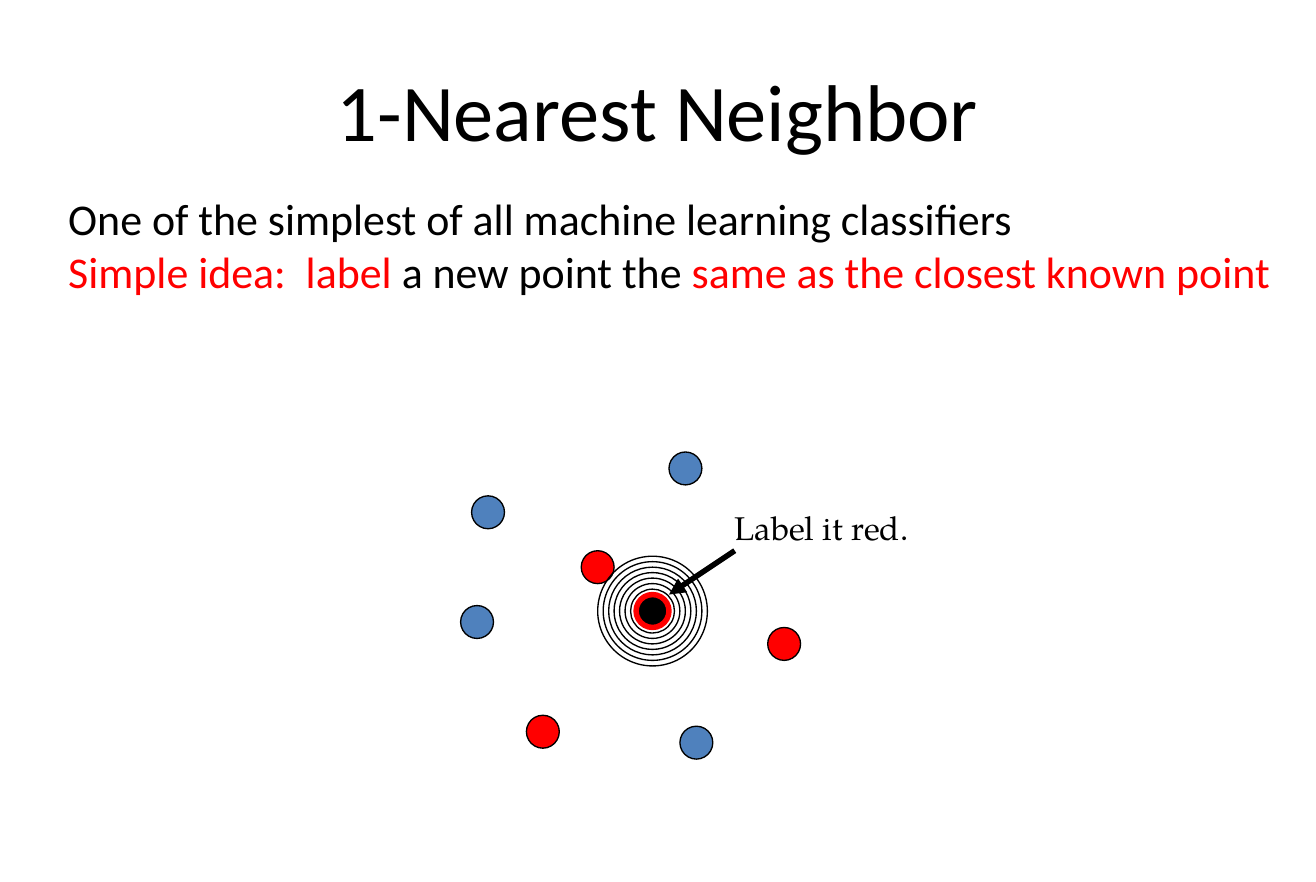
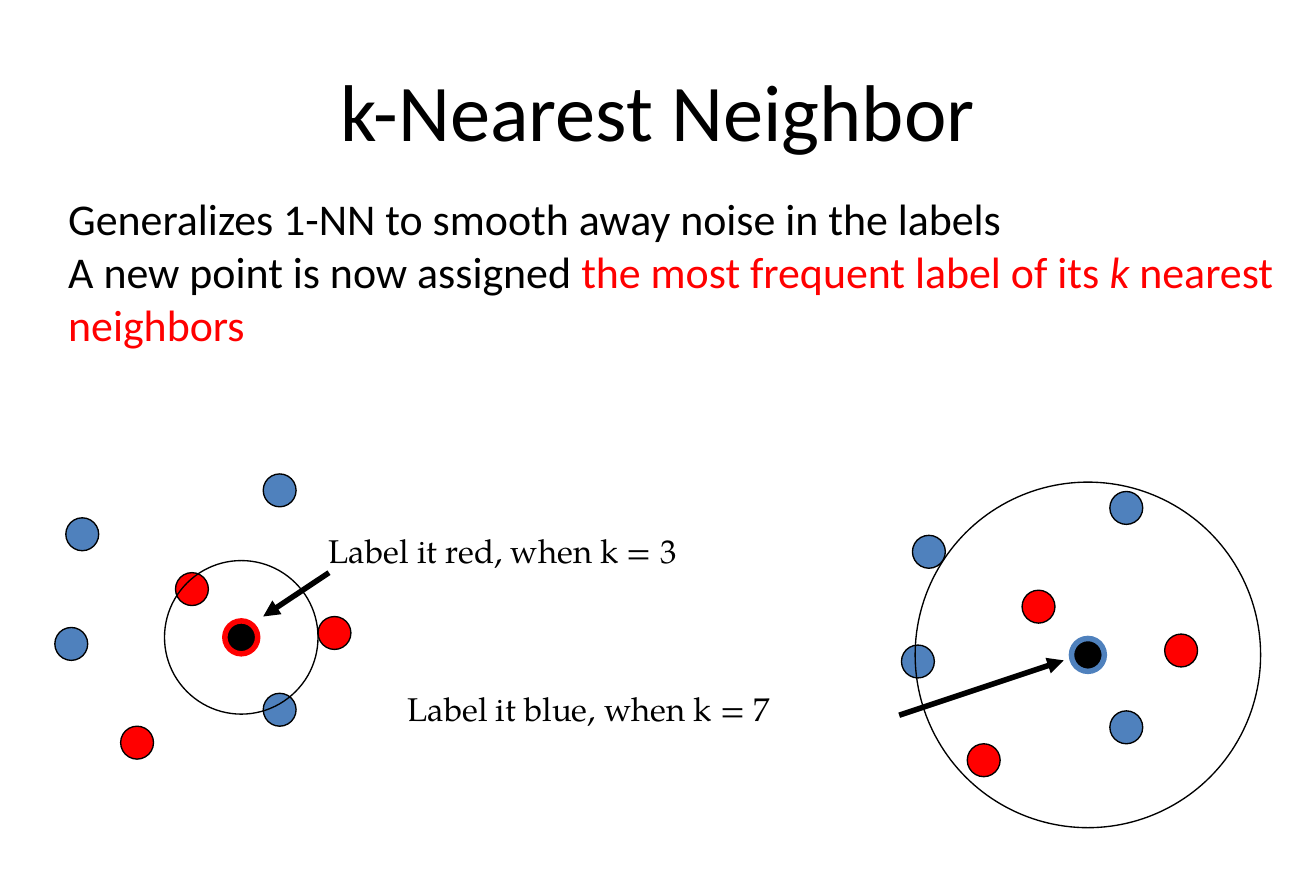
from lxml import etree
from pptx import Presentation
from pptx.dml.color import RGBColor
from pptx.enum.shapes import MSO_CONNECTOR, MSO_SHAPE
from pptx.enum.text import MSO_ANCHOR, PP_ALIGN
from pptx.oxml.ns import qn
from pptx.util import Inches, Pt

COLORS = {"black": "000000", "red": "FF0000", "blue": "4F81BD"}
HEADING_FONT = "Calibri"
LABEL_FONT = "TeX Gyre Pagella"
CELLS_PER_INCH = 12
DOT = 3  # diameter in cells

# Known points: class and offset from the new point, in cells
SPREAD_POINTS = [
    ("blue", -15, -9), ("red", -10, 11), ("blue", 3, -13), ("blue", -16, 1),
    ("red", 12, 3), ("red", -5, -4), ("blue", 4, 12),
]
CLOSE_POINTS = [
    ("blue", -14.5, -9.4), ("red", -9.5, 9.6), ("blue", 3.5, -13.4),
    ("blue", -15.5, 0.6), ("red", 8.5, -0.4), ("red", -4.5, -4.4),
    ("blue", 3.5, 6.6),
]


def cells(count):
    return Inches(count / CELLS_PER_INCH)


def rgb(name):
    return RGBColor.from_string(COLORS[name])


def add_text(slide, box, paragraphs, size, font=HEADING_FONT,
             align=PP_ALIGN.LEFT, anchor=MSO_ANCHOR.TOP):
    """Place paragraphs, each a list of (text, colour, italic) runs, in a box of lengths."""
    frame = slide.shapes.add_textbox(*box).text_frame
    frame.word_wrap = True
    frame.vertical_anchor = anchor
    for index, runs in enumerate(paragraphs):
        paragraph = frame.add_paragraph() if index else frame.paragraphs[0]
        paragraph.alignment = align
        paragraph.font.size = Pt(size)
        paragraph.font.name = font
        for text, color, italic in runs:
            run = paragraph.add_run()
            run.text = text
            run.font.color.rgb = rgb(color)
            if italic:
                run.font.italic = True


def add_heading(slide, title, statements):
    add_text(slide, (Inches(0.5), Inches(0.27), Inches(9), Inches(1.12)),
             [[(title, "black", False)]], 44,
             align=PP_ALIGN.CENTER, anchor=MSO_ANCHOR.MIDDLE)
    add_text(slide, (Inches(0.42), Inches(1.41), Inches(9.42), Inches(1.35)),
             statements, 24)


def add_label(slide, left, top, width, text):
    add_text(slide, (cells(left), cells(top), cells(width), cells(6)),
             [[(text, "black", False)]], 18, LABEL_FONT)


def add_circle(slide, center, diameter, fill=None, outline="black", weight=0.75):
    left, top = (cells(middle - diameter / 2) for middle in center)
    circle = slide.shapes.add_shape(
        MSO_SHAPE.OVAL, left, top, cells(diameter), cells(diameter))
    circle.shadow.inherit = False
    if fill:
        circle.fill.solid()
        circle.fill.fore_color.rgb = rgb(fill)
    else:
        circle.fill.background()
    circle.line.color.rgb = rgb(outline)
    circle.line.width = Pt(weight)


def add_arrow(slide, tip, tail):
    arrow = slide.shapes.add_connector(
        MSO_CONNECTOR.STRAIGHT, *(cells(value) for value in (*tip, *tail)))
    arrow.line.color.rgb = rgb("black")
    arrow.line.width = Pt(3)
    etree.SubElement(arrow.line._get_or_add_ln(), qn("a:headEnd"), type="triangle")
    etree.SubElement(arrow._element.spPr, qn("a:effectLst"))


def add_neighborhood(slide, center, points, rings, label, tip, tail):
    """Draw known points, search rings and the new point; tip and tail are offsets."""
    def place(dx, dy):
        return center[0] + dx, center[1] + dy

    for color, dx, dy in points:
        add_circle(slide, place(dx, dy), DOT, color)
    for diameter in rings:
        add_circle(slide, center, diameter)
    add_circle(slide, center, DOT, "black", label, 3)
    add_arrow(slide, place(*tip), place(*tail))


def build_one_nearest(slide):
    add_heading(slide, "1-Nearest Neighbor", [
        [("One of the simplest of all machine learning classifiers", "black", False)],
        [("Simple idea:  label", "red", False),
         (" a new point the ", "black", False),
         ("same as the closest known point", "red", False)],
    ])
    add_label(slide, 65.8, 45.7, 23.3, "Label it red.")
    add_neighborhood(slide, (59.5, 55.7), SPREAD_POINTS, range(10, 3, -1),
                     "red", (1.5, -1.5), (7.5, -5.5))


def build_k_nearest(slide):
    add_heading(slide, "k-Nearest Neighbor", [
        [("Generalizes 1-NN to smooth away noise in the labels", "black", False)],
        [("A new point is now assigned ", "black", False),
         ("the most frequent label of its ", "red", False),
         ("k", "red", True),
         (" nearest neighbors", "red", False)],
    ])
    add_label(slide, 28.8, 47.8, 44, "Label it red, when k = 3")
    add_neighborhood(slide, (22, 58.1), CLOSE_POINTS, [14],
                     "red", (2, -1.9), (8, -5.9))
    add_label(slide, 36, 62.2, 45.7, "Label it blue, when k = 7")
    add_neighborhood(slide, (99.2, 59.7), CLOSE_POINTS, [31.5],
                     "blue", (-2.2, 0.5), (-17.2, 5.5))


def main():
    deck = Presentation()
    deck.slide_width, deck.slide_height = Inches(10), Inches(6.7)
    for build in (build_one_nearest, build_k_nearest):
        build(deck.slides.add_slide(deck.slide_layouts[6]))
    deck.save("out.pptx")


if __name__ == "__main__":
    main()
